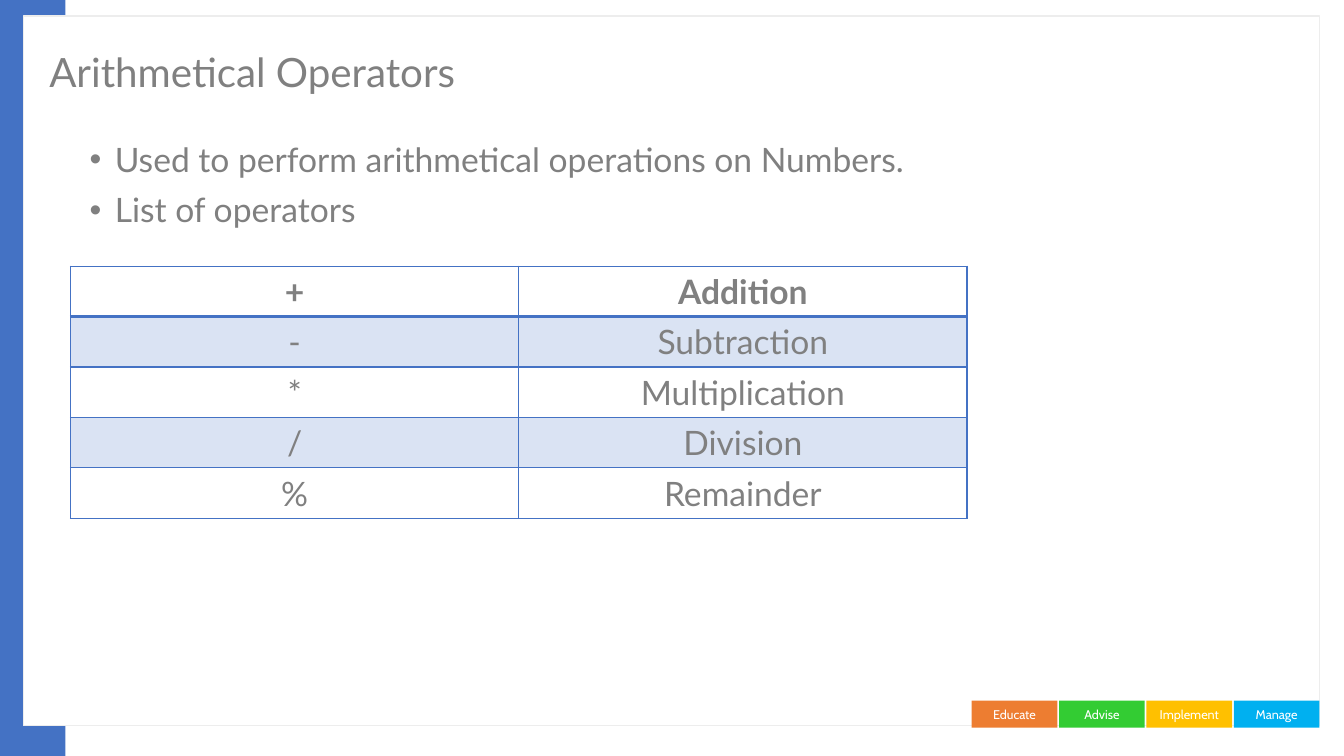
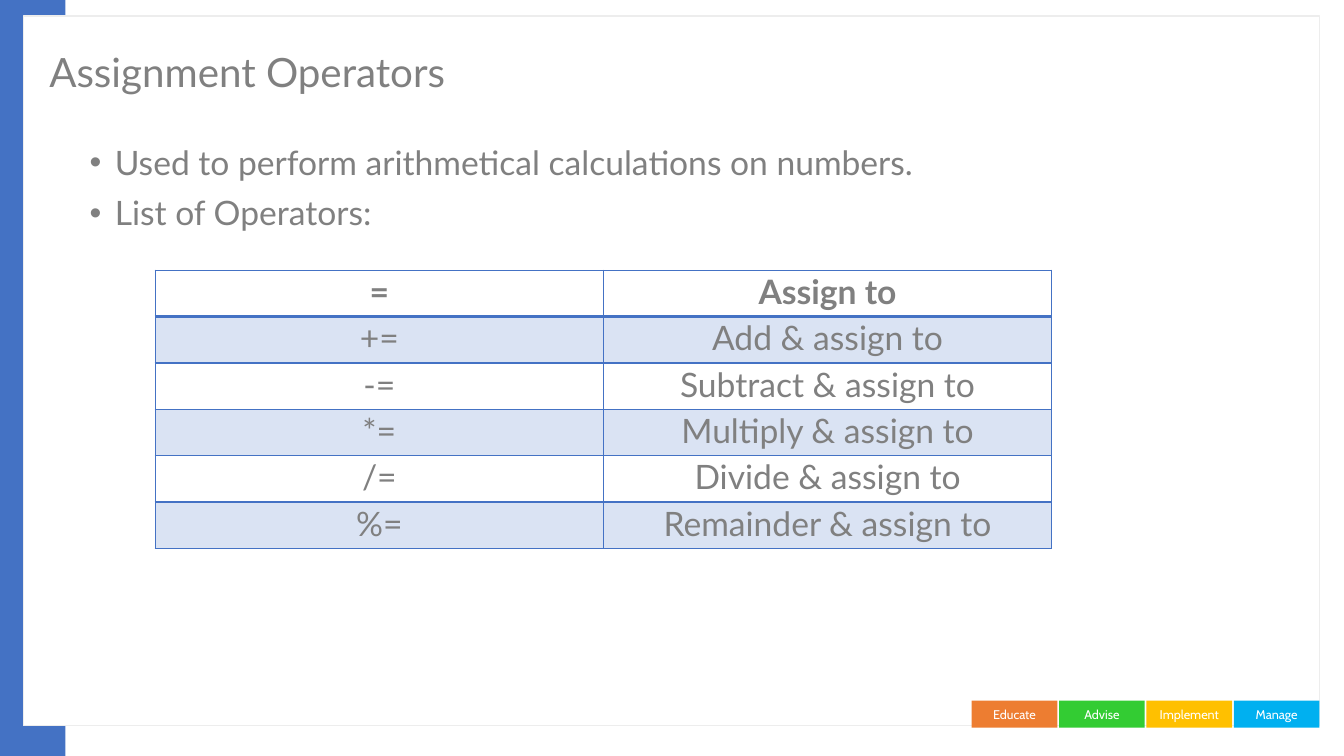
from dataclasses import dataclass

from lxml import etree
from pptx import Presentation
from pptx.dml.color import RGBColor
from pptx.enum.shapes import MSO_SHAPE
from pptx.enum.text import MSO_ANCHOR, PP_ALIGN
from pptx.oxml.ns import qn
from pptx.presentation import Presentation as Deck
from pptx.slide import Slide
from pptx.table import _Cell
from pptx.text.text import TextFrame, _Paragraph
from pptx.util import Emu, Inches, Pt

RECTANGLE = MSO_SHAPE.RECTANGLE
MIDDLE = MSO_ANCHOR.MIDDLE
CENTER = PP_ALIGN.CENTER
SLIDE_WIDTH, SLIDE_HEIGHT = Inches(13.33), Inches(7.5)
GRID = 100
BLANK_LAYOUT = 6


@dataclass(frozen=True)
class Theme:
    accent: str = "4472C4"
    stripe: str = "DAE3F3"
    paper: str = "FFFFFF"
    frame_line: str = "EDEDED"
    ink: str = "808080"
    text_font: str = "Lato"
    tag_font: str = "Cabin"
    title_size: float = 28.8
    body_size: float = 24
    tag_size: float = 9
    line_spacing: float = 0.9
    paragraph_gap: float = 10
    rule: float = 1
    header_rule: float = 2


@dataclass(frozen=True)
class Area:
    column: float
    row: float
    columns: float
    rows: float

    def emu(self) -> tuple[Emu, Emu, Emu, Emu]:
        return across(self.column), down(self.row), across(self.columns), down(self.rows)


@dataclass(frozen=True)
class Tag:
    label: str
    color: str


@dataclass(frozen=True)
class OperatorSlide:
    title: str
    points: tuple[str, ...]
    points_row: float
    operators: tuple[tuple[str, str], ...]
    table_column: float
    table_row: float
    row_height: float
    cell_spacing: float


THEME = Theme()
BAND = Area(0, 0, 4.88, GRID)
FRAME = Area(1.73, 2.13, 96.45, 93.87)
TITLE = Area(2.93, 4, 77.4, 11.6)
POINTS_COLUMN, POINTS_COLUMNS, POINTS_ROWS = 5.93, 90.5, 14
TABLE_COLUMNS = 66.7
TAG_ROW, TAG_ROWS, TAG_COLUMNS, TAG_STEP = 92.67, 3.6, 6.38, 6.5
TAGS = (
    Tag("Educate", "ED7D31"),
    Tag("Advise", "33CC33"),
    Tag("Implement", "FFC000"),
    Tag("Manage", "00B0F0"),
)
SLIDES = (
    OperatorSlide(
        title="Arithmetical Operators",
        points=("Used to perform arithmetical operations on Numbers.", "List of operators"),
        points_row=18.27,
        operators=(
            ("+", "Addition"),
            ("-", "Subtraction"),
            ("*", "Multiplication"),
            ("/", "Division"),
            ("%", "Remainder"),
        ),
        table_column=5.25,
        table_row=35.2,
        row_height=6.67,
        cell_spacing=1.0,
    ),
    OperatorSlide(
        title="Assignment Operators",
        points=("Used to perform arithmetical calculations on numbers.", "List of Operators:"),
        points_row=18.67,
        operators=(
            ("=", "Assign to"),
            ("+=", "Add & assign to"),
            ("-=", "Subtract & assign to"),
            ("*=", "Multiply & assign to"),
            ("/=", "Divide & assign to"),
            ("%=", "Remainder & assign to"),
        ),
        table_column=11.55,
        table_row=35.73,
        row_height=6.13,
        cell_spacing=0.9,
    ),
)


def across(columns: float) -> Emu:
    return Emu(round(SLIDE_WIDTH * columns / GRID))


def down(rows: float) -> Emu:
    return Emu(round(SLIDE_HEIGHT * rows / GRID))


def style(paragraph: _Paragraph, size: float, color: str = THEME.ink,
          font: str = THEME.text_font, bold: bool = False) -> None:
    for run in paragraph.runs:
        run.font.name = font
        run.font.size = Pt(size)
        run.font.bold = bold
        run.font.color.rgb = RGBColor.from_string(color)


def add_panel(slide: Slide, area: Area, fill: str, line: str | None = None) -> TextFrame:
    panel = slide.shapes.add_shape(RECTANGLE, *area.emu())
    panel.shadow.inherit = False
    panel.fill.solid()
    panel.fill.fore_color.rgb = RGBColor.from_string(fill)
    if line:
        panel.line.color.rgb = RGBColor.from_string(line)
        panel.line.width = Pt(THEME.rule)
    else:
        panel.line.fill.background()
    return panel.text_frame


def add_backdrop(slide: Slide) -> None:
    add_panel(slide, BAND, THEME.accent)
    add_panel(slide, FRAME, THEME.paper, THEME.frame_line)
    first_column = FRAME.column + FRAME.columns - TAG_COLUMNS - TAG_STEP * (len(TAGS) - 1)
    for index, tag in enumerate(TAGS):
        area = Area(first_column + index * TAG_STEP, TAG_ROW, TAG_COLUMNS, TAG_ROWS)
        label = add_panel(slide, area, tag.color)
        label.margin_left = label.margin_right = label.margin_top = label.margin_bottom = 0
        label.vertical_anchor = MIDDLE
        label.text = tag.label
        label.paragraphs[0].alignment = CENTER
        style(label.paragraphs[0], THEME.tag_size, THEME.paper, THEME.tag_font)


def add_text(slide: Slide, area: Area, text: str, size: float) -> TextFrame:
    frame = slide.shapes.add_textbox(*area.emu()).text_frame
    frame.word_wrap = True
    frame.text = text
    for paragraph in frame.paragraphs:
        paragraph.line_spacing = THEME.line_spacing
        style(paragraph, size)
    return frame


def add_bullet(paragraph: _Paragraph) -> None:
    properties = paragraph._p.get_or_add_pPr()
    properties.set("marL", str(Inches(0.25)))
    properties.set("indent", str(-Inches(0.25)))
    etree.SubElement(properties, qn("a:buFont"), typeface="Arial")
    etree.SubElement(properties, qn("a:buChar"), char="•")


def add_points(slide: Slide, content: OperatorSlide) -> None:
    area = Area(POINTS_COLUMN, content.points_row, POINTS_COLUMNS, POINTS_ROWS)
    frame = add_text(slide, area, "\n".join(content.points), THEME.body_size)
    for index, paragraph in enumerate(frame.paragraphs):
        add_bullet(paragraph)
        if index:
            paragraph.space_before = Pt(THEME.paragraph_gap)


def set_borders(cell: _Cell, top: float, bottom: float) -> None:
    properties = cell._tc.get_or_add_tcPr()
    widths = {"lnL": THEME.rule, "lnR": THEME.rule, "lnT": top, "lnB": bottom}
    for side, width in widths.items():
        line = etree.SubElement(properties, qn(f"a:{side}"), w=str(Pt(width)))
        fill = etree.SubElement(line, qn("a:solidFill"))
        etree.SubElement(fill, qn("a:srgbClr"), val=THEME.accent)


def add_operator_table(slide: Slide, content: OperatorSlide) -> None:
    count = len(content.operators)
    area = Area(content.table_column, content.table_row, TABLE_COLUMNS,
                content.row_height * count)
    table = slide.shapes.add_table(count, 2, *area.emu()).table
    table.first_row = table.horz_banding = False
    for row, entry in enumerate(content.operators):
        table.rows[row].height = down(content.row_height)
        for column, text in enumerate(entry):
            cell = table.cell(row, column)
            set_borders(cell,
                        top=THEME.header_rule if row == 1 else THEME.rule,
                        bottom=THEME.header_rule if row == 0 else THEME.rule)
            cell.fill.solid()
            cell.fill.fore_color.rgb = RGBColor.from_string(
                THEME.stripe if row % 2 else THEME.paper)
            cell.text_frame.text = text
            paragraph = cell.text_frame.paragraphs[0]
            paragraph.alignment = CENTER
            paragraph.line_spacing = content.cell_spacing
            style(paragraph, THEME.body_size, bold=row == 0)


def add_operator_slide(deck: Deck, content: OperatorSlide) -> None:
    slide = deck.slides.add_slide(deck.slide_layouts[BLANK_LAYOUT])
    add_backdrop(slide)
    add_text(slide, TITLE, content.title, THEME.title_size).vertical_anchor = MIDDLE
    add_points(slide, content)
    add_operator_table(slide, content)


def main() -> None:
    deck = Presentation()
    deck.slide_width, deck.slide_height = SLIDE_WIDTH, SLIDE_HEIGHT
    for content in SLIDES:
        add_operator_slide(deck, content)
    deck.save("out.pptx")


if __name__ == "__main__":
    main()
